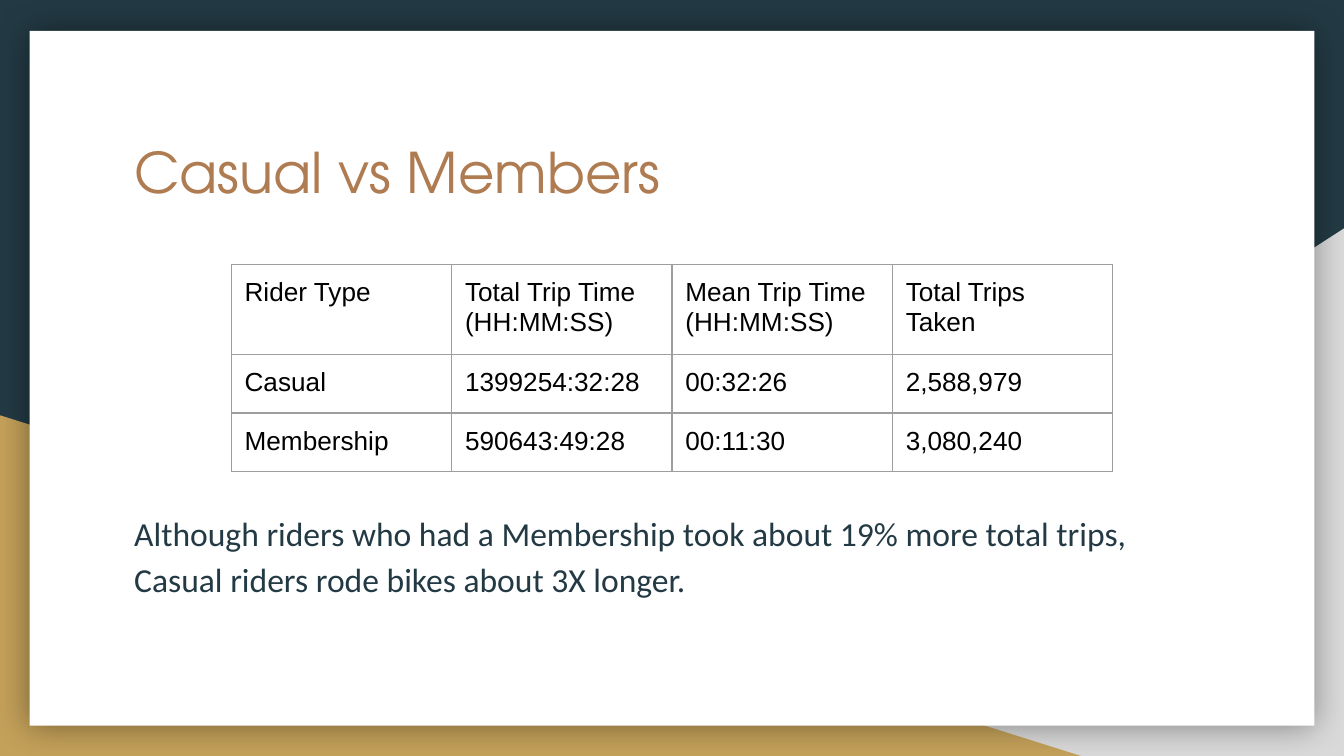
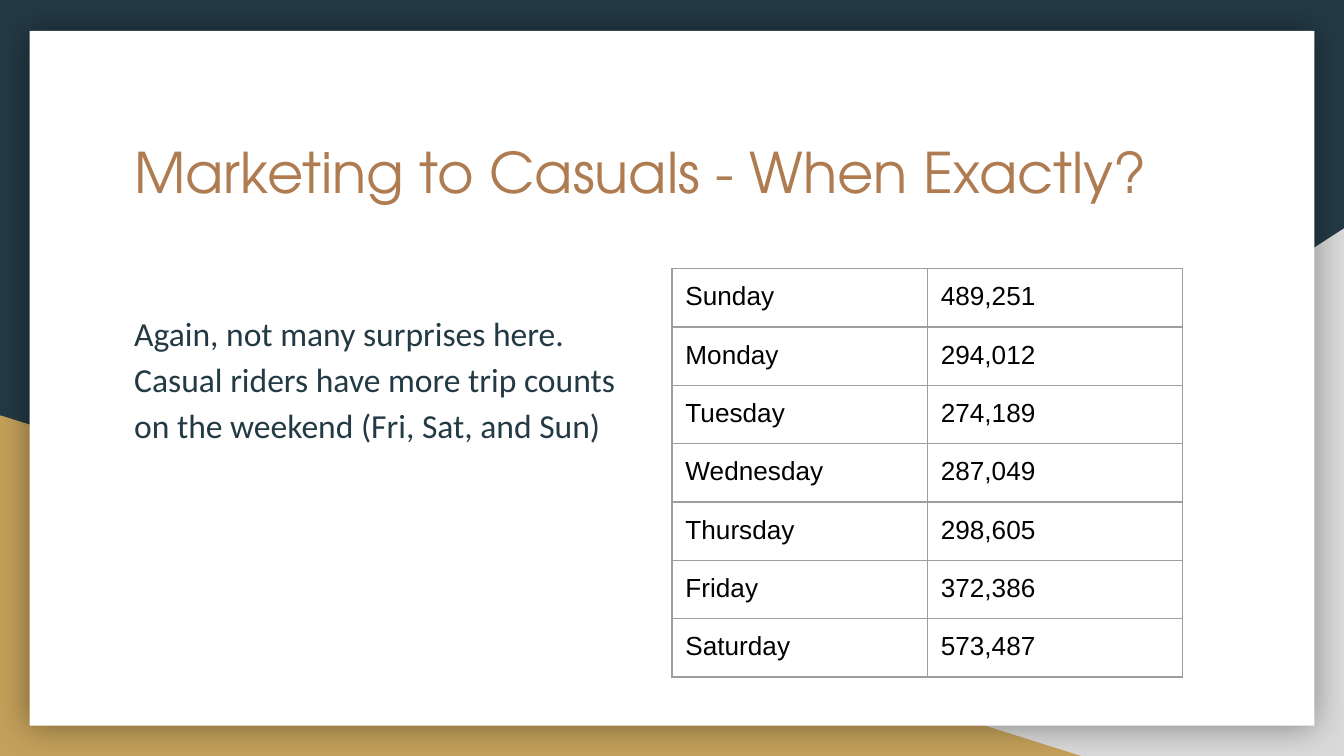
from lxml import etree
from pptx import Presentation, util as u
from pptx.dml.color import RGBColor
from pptx.enum import shapes, text
from pptx.oxml import ns

# Shared look
NAVY, GOLD, GREY, WHITE = "233A44", "C4A15A", "D9D9D9", "FFFFFF"
COPPER, BLACK, RULE = "AF7B51", "000000", "9E9E9E"
TITLE_FONT, BODY_FONT, TABLE_FONT = "TeX Gyre Adventor", "Calibri", "Arial"
INSET = u.Inches(0.1)
LEFT = 0.9
ROW = 0.43


def paint(color_format, hex_code):
    color_format.rgb = RGBColor.from_string(hex_code)


def paint_fill(fill, hex_code):
    fill.solid()
    paint(fill.fore_color, hex_code)


def style(paragraph, font, size, color):
    paragraph.font.name = font
    paragraph.font.size = u.Pt(size)
    paint(paragraph.font.color, color)


def add_panel(slide, kind, box, color):
    panel = slide.shapes.add_shape(kind, *map(u.Inches, box))
    panel.shadow.inherit = False
    paint_fill(panel.fill, color)
    panel.line.fill.background()
    return panel


def add_glow(panel):
    """Soft shadow spread evenly around the panel."""
    effects = panel._element.spPr.find(ns.qn("a:effectLst"))
    shadow = etree.SubElement(effects, ns.qn("a:outerShdw"), blurRad=str(u.Pt(18)),
                              dist="0", dir="0", algn="ctr", rotWithShape="0")
    color = etree.SubElement(shadow, ns.qn("a:srgbClr"), val=BLACK)
    etree.SubElement(color, ns.qn("a:alpha"), val="40000")


def add_text(slide, box, words, font, size, color):
    text_box = slide.shapes.add_textbox(*map(u.Inches, box))
    frame = text_box.text_frame
    frame.word_wrap = True
    frame.vertical_anchor = text.MSO_ANCHOR.TOP
    frame.margin_left = frame.margin_right = INSET
    frame.margin_top = frame.margin_bottom = INSET
    paragraph = frame.paragraphs[0]
    paragraph.text = words
    style(paragraph, font, size, color)
    return paragraph


def add_body(slide, box, words):
    body = add_text(slide, box, words, BODY_FONT, 18, NAVY)
    body.line_spacing = 1.15
    body.space_after = u.Pt(12)


def add_borders(cell):
    properties = cell._tc.get_or_add_tcPr()
    for place, side in enumerate(("lnL", "lnR", "lnT", "lnB")):
        line = etree.Element(ns.qn("a:" + side), w=str(u.Pt(0.75)))
        fill = etree.SubElement(line, ns.qn("a:solidFill"))
        etree.SubElement(fill, ns.qn("a:srgbClr"), val=RULE)
        properties.insert(place, line)


def add_grid(slide, left, top, column_width, row_heights, rows):
    columns = len(rows[0])
    grid = slide.shapes.add_table(
        len(rows), columns, u.Inches(left), u.Inches(top),
        u.Inches(column_width * columns), u.Inches(sum(row_heights))).table
    grid.first_row = grid.horz_banding = False
    for column in grid.columns:
        column.width = u.Inches(column_width)
    for row, height, values in zip(grid.rows, row_heights, rows):
        row.height = u.Inches(height)
        for cell, value in zip(row.cells, values):
            cell.margin_left = cell.margin_right = INSET
            cell.margin_top = cell.margin_bottom = INSET
            cell.fill.background()
            add_borders(cell)
            cell.text = value
            style(cell.text_frame.paragraphs[0], TABLE_FONT, 14, BLACK)


def add_slide(prs, title):
    """Blank slide with the shared backdrop, white card and title."""
    slide = prs.slides.add_slide(prs.slide_layouts[6])
    paint_fill(slide.background.fill, NAVY)
    triangle = shapes.MSO_SHAPE.RIGHT_TRIANGLE
    right_corner = add_panel(slide, triangle, (3.92, 1.7, 6.08, 3.93), GREY)
    right_corner._element.spPr.xfrm.set("flipH", "1")
    add_panel(slide, triangle, (0, 3.09, 8.06, 2.54), GOLD)
    card = add_panel(slide, shapes.MSO_SHAPE.RECTANGLE, (0.22, 0.23, 9.56, 5.17), WHITE)
    add_glow(card)
    add_text(slide, (LEFT, 0.92, 8.21, 1.04), title, TITLE_FONT, 30, COPPER)
    return slide


def main():
    # Widescreen, 16:9
    prs = Presentation()
    prs.slide_width = u.Inches(10)
    prs.slide_height = prs.slide_width * 9 // 16

    # Rider comparison
    riders = add_slide(prs, "Casual vs Members")
    add_body(riders, (LEFT, 3.67, 8.21, 1.18),
             "Although riders who had a Membership took about 19% more total trips, "
             "Casual riders rode bikes about 3X longer.")
    add_grid(riders, 1.72, 1.97, 1.64, [0.67, ROW, ROW], [
        ("Rider Type", "Total Trip Time (HH:MM:SS)", "Mean Trip Time (HH:MM:SS)",
         "Total Trips Taken"),
        ("Casual", "1399254:32:28", "00:32:26", "2,588,979"),
        ("Membership", "590643:49:28", "00:11:30", "3,080,240"),
    ])

    # Casual trips by weekday
    weekdays = add_slide(prs, "Marketing to Casuals - When Exactly?")
    add_body(weekdays, (LEFT, 2.18, 3.81, 2.68),
             "Again, not many surprises here. Casual riders have more trip counts "
             "on the weekend (Fri, Sat, and Sun)")
    trips = [
        ("Sunday", "489,251"),
        ("Monday", "294,012"),
        ("Tuesday", "274,189"),
        ("Wednesday", "287,049"),
        ("Thursday", "298,605"),
        ("Friday", "372,386"),
        ("Saturday", "573,487"),
    ]
    add_grid(weekdays, 5, 2, 1.9, [ROW] * len(trips), trips)

    prs.save("out.pptx")


if __name__ == "__main__":
    main()
